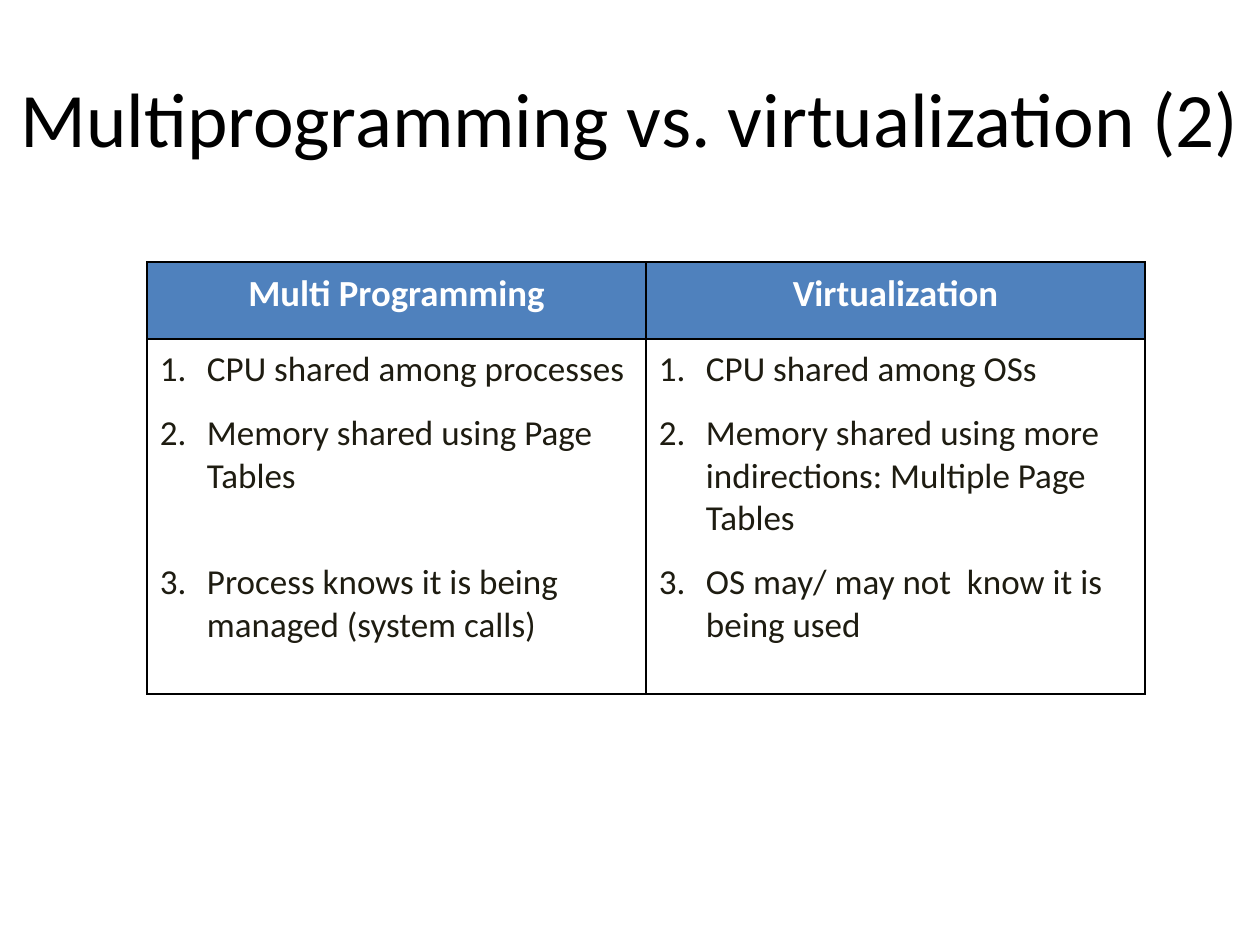
from pptx import Presentation
from pptx.dml.color import RGBColor
from pptx.enum.text import MSO_ANCHOR, PP_ALIGN
from pptx.oxml import parse_xml
from pptx.oxml.ns import nsdecls
from pptx.util import Pt


def px(count):
    return round(count * 914400 / 126)


def write(frame, lines, size, color, bold=False, align=PP_ALIGN.LEFT, gaps=None, numbered=False):
    frame.word_wrap = True
    for index, line in enumerate(lines):
        paragraph = frame.paragraphs[0] if index == 0 else frame.add_paragraph()
        paragraph.alignment = align
        paragraph.space_before = Pt(gaps[index] if gaps else 0)
        run = paragraph.add_run()
        run.text = line
        run.font.name = theme["font"]
        run.font.size = Pt(size)
        run.font.bold = bold
        run.font.color.rgb = RGBColor.from_string(color)
        if numbered:
            properties = paragraph._p.get_or_add_pPr()
            properties.set("marL", str(px(47)))
            properties.set("indent", str(-px(47)))
            properties.append(parse_xml(f'<a:buFont {nsdecls("a")} typeface="+mj-lt"/>'))
            properties.append(parse_xml(f'<a:buAutoNum {nsdecls("a")} type="arabicPeriod"/>'))


theme = {
    "font": "Calibri",
    "title_size": 44, "header_size": 21, "body_size": 20,
    "title": "000000", "header": "FFFFFF", "body": "1E1C11",
    "header_fill": "4F81BD", "border": "000000",
}

columns = [
    ("Multi Programming",
     ["CPU shared among processes",
      "Memory shared using Page Tables",
      "Process knows it is being managed (system calls)"],
     [0, 12, 36.4]),
    ("Virtualization",
     ["CPU shared among OSs",
      "Memory shared using more indirections: Multiple Page Tables",
      "OS may/ may not  know it is being used"],
     [0, 12, 12]),
]

deck = Presentation()
deck.slide_width, deck.slide_height = px(1260), px(945)
slide = deck.slides.add_slide(deck.slide_layouts[6])

comparison = slide.shapes.add_table(2, 2, px(147), px(262), px(998), px(432)).table
comparison.first_row = False
comparison.horz_banding = False
comparison.rows[0].height = px(77)
comparison.rows[1].height = px(355)

for column, (heading, points, gaps) in enumerate(columns):
    comparison.columns[column].width = px(499)
    header, body = comparison.cell(0, column), comparison.cell(1, column)
    for cell in (header, body):
        cell.margin_left = cell.margin_right = px(13)
        cell.margin_top = cell.margin_bottom = px(9)
        for side in ("lnL", "lnR", "lnT", "lnB"):
            cell._tc.get_or_add_tcPr().append(parse_xml(
                f'<a:{side} {nsdecls("a")} w="{Pt(1)}"><a:solidFill>'
                f'<a:srgbClr val="{theme["border"]}"/></a:solidFill></a:{side}>'))
    header.fill.solid()
    header.fill.fore_color.rgb = RGBColor.from_string(theme["header_fill"])
    body.fill.background()
    write(header.text_frame, [heading], theme["header_size"], theme["header"],
          bold=True, align=PP_ALIGN.CENTER)
    write(body.text_frame, points, theme["body_size"], theme["body"],
          gaps=gaps, numbered=True)

title = slide.shapes.add_textbox(0, px(38), px(1260), px(157)).text_frame
title.vertical_anchor = MSO_ANCHOR.MIDDLE
write(title, ["Multiprogramming vs. virtualization (2)"], theme["title_size"], theme["title"],
      align=PP_ALIGN.CENTER)

deck.save("out.pptx")
